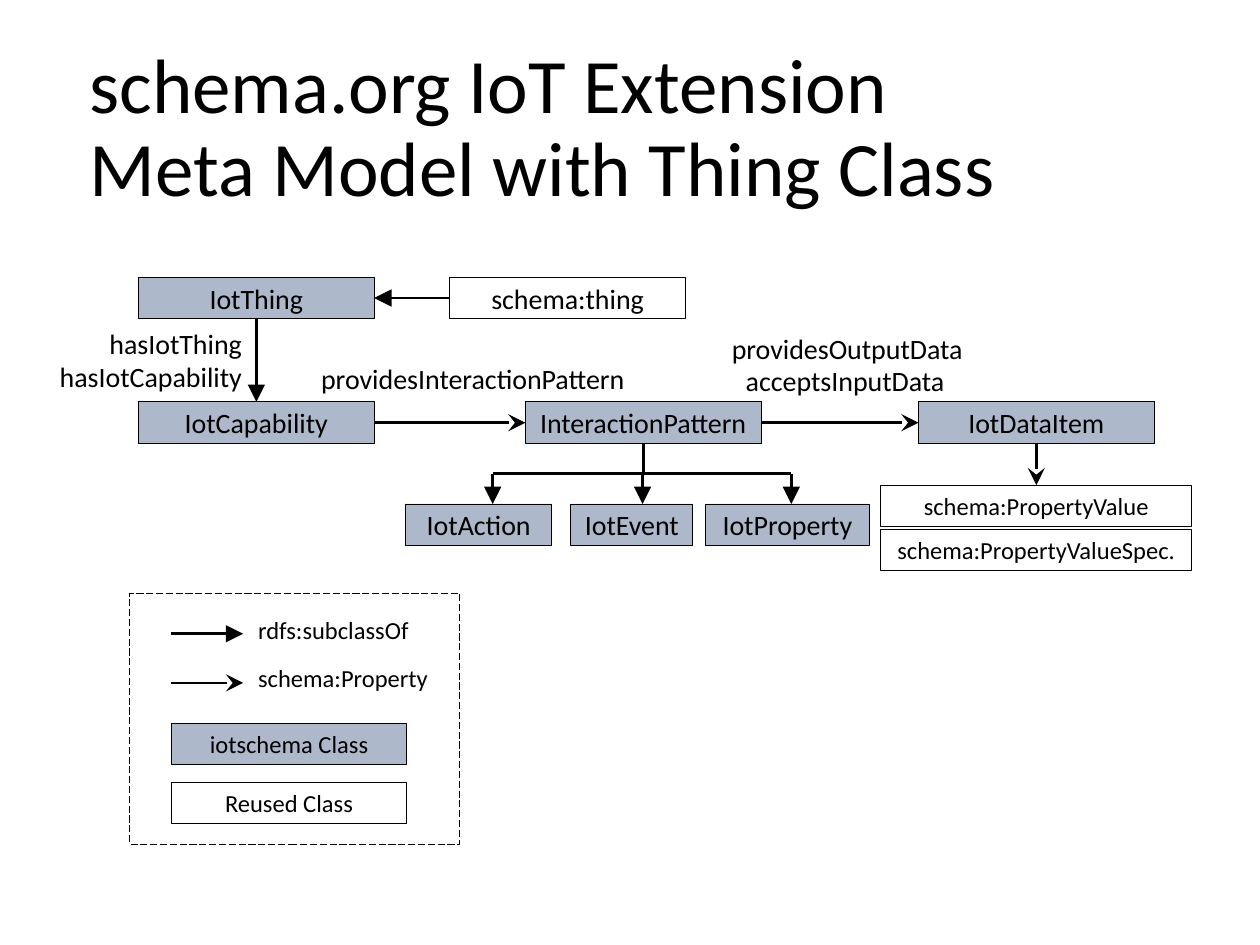
from dataclasses import dataclass

from lxml.etree import SubElement
from pptx import Presentation
from pptx.dml.color import RGBColor
from pptx.enum.dml import MSO_LINE_DASH_STYLE as Dash
from pptx.enum.shapes import MSO_CONNECTOR as Connector, MSO_SHAPE as Shape
from pptx.enum.text import MSO_ANCHOR as Anchor, MSO_AUTO_SIZE as AutoSize, PP_ALIGN as Align
from pptx.oxml.ns import qn
from pptx.util import Inches, Pt

BLACK = RGBColor(0x00, 0x00, 0x00)
WHITE = RGBColor(0xFF, 0xFF, 0xFF)
IOT_BLUE = RGBColor(0xAD, 0xB9, 0xCA)

# Diagram grid, in inches
CLASS_W, CLASS_H = 1.87, 0.33
THING_Y, CAPABILITY_Y, SUBCLASS_Y = 2.2, 3.19, 4.0
PROPERTY_Y, PROPERTY_STEP = 3.85, 0.35
CAPABILITY_X, PATTERN_X, DATA_X = 1.1, 4.17, 7.29
SCHEMA_X, PROPERTY_X, PROPERTY_W = 3.57, 6.99, 2.47
LEGEND_X, LEGEND_LABEL_X, LEGEND_Y = 1.36, 1.95, 5.74
LEGEND_STEP, BUS_Y = 0.47, 3.76
MID = CLASS_H / 2

SUBCLASS_OF, PROPERTY = "triangle", "stealth"


@dataclass
class ClassBox:
    name: str
    x: float
    y: float
    width: float = CLASS_W
    fill: RGBColor | None = IOT_BLUE
    size: int = 16


@dataclass
class Label:
    text: str
    x: float
    y: float
    width: float
    height: float = 0.37
    size: int = 16
    align: Align = Align.LEFT


@dataclass
class Relation:
    x1: float
    y1: float
    x2: float
    y2: float
    head: str | None = None


SUBCLASSES = [
    ClassBox("IotAction", 3.22, SUBCLASS_Y, 1.16),
    ClassBox("IotEvent", 4.53, SUBCLASS_Y, 0.97),
    ClassBox("IotProperty", 5.6, SUBCLASS_Y, 1.3),
]
CLASSES = [
    ClassBox("IotThing", CAPABILITY_X, THING_Y),
    ClassBox("schema:thing", SCHEMA_X, THING_Y, fill=None),
    ClassBox("IotCapability", CAPABILITY_X, CAPABILITY_Y),
    ClassBox("InteractionPattern", PATTERN_X, CAPABILITY_Y),
    ClassBox("IotDataItem", DATA_X, CAPABILITY_Y),
    *SUBCLASSES,
    ClassBox("schema:PropertyValue", PROPERTY_X, PROPERTY_Y, PROPERTY_W, WHITE, 14),
    ClassBox("schema:PropertyValueSpec.", PROPERTY_X, PROPERTY_Y + PROPERTY_STEP,
             PROPERTY_W, WHITE, 14),
    ClassBox("iotschema Class", LEGEND_X, LEGEND_Y, size=14),
    ClassBox("Reused Class", LEGEND_X, LEGEND_Y + LEGEND_STEP, fill=None, size=14),
]
LABELS = [
    Label("hasIotThing\nhasIotCapability", 0.36, 2.54, 1.66, 0.64, align=Align.RIGHT),
    Label("providesInteractionPattern", 2.45, 2.82, 2.65),
    Label("providesOutputData", 5.71, 2.58, 2.06),
    Label("acceptsInputData", 5.82, 2.84, 1.8),
    Label("rdfs:subclassOf", LEGEND_LABEL_X, 4.83, 1.41, 0.34, 14),
    Label("schema:Property", LEGEND_LABEL_X, 5.21, 1.56, 0.34, 14),
]

ROW_MID = CAPABILITY_Y + MID
THING_MID = THING_Y + MID
ROW_BOTTOM = CAPABILITY_Y + CLASS_H
CAPABILITY_CX, PATTERN_CX, DATA_CX = (
    x + CLASS_W / 2 for x in (CAPABILITY_X, PATTERN_X, DATA_X))
BRANCHES = [3.91, 5.1, 6.28]
RELATIONS = [
    Relation(SCHEMA_X, THING_MID, CAPABILITY_X + CLASS_W, THING_MID, SUBCLASS_OF),
    Relation(CAPABILITY_CX, THING_Y + CLASS_H, CAPABILITY_CX, CAPABILITY_Y, SUBCLASS_OF),
    Relation(CAPABILITY_X + CLASS_W, ROW_MID, PATTERN_X, ROW_MID, PROPERTY),
    Relation(PATTERN_X + CLASS_W, ROW_MID, DATA_X, ROW_MID, PROPERTY),
    Relation(DATA_CX, ROW_BOTTOM, DATA_CX, PROPERTY_Y, PROPERTY),
    Relation(PATTERN_CX, BUS_Y, PATTERN_CX, ROW_BOTTOM),
    Relation(BRANCHES[-1], BUS_Y, BRANCHES[0], BUS_Y),
    *(Relation(x, BUS_Y, x, SUBCLASS_Y, SUBCLASS_OF) for x in BRANCHES),
    Relation(LEGEND_X, 5.03, 1.93, 5.03, SUBCLASS_OF),
    Relation(LEGEND_X, 5.42, 1.93, 5.42, PROPERTY),
]


def write(frame, text: str, size: int, align: Align, **frame_format) -> None:
    """Fill a text frame and format every paragraph alike."""
    frame.text = text
    for name, value in frame_format.items():
        setattr(frame, name, value)
    for paragraph in frame.paragraphs:
        paragraph.alignment = align
        for run in paragraph.runs:
            for name, value in {"name": "Calibri", "size": Pt(size)}.items():
                setattr(run.font, name, value)
            run.font.color.rgb = BLACK


def add_rectangle(slide, x: float, y: float, width: float, height: float,
                  fill: RGBColor | None):
    rectangle = slide.shapes.add_shape(
        Shape.RECTANGLE, *map(Inches, (x, y, width, height)))
    rectangle.shadow.inherit = False
    if fill is None:
        rectangle.fill.background()
    else:
        rectangle.fill.solid()
        rectangle.fill.fore_color.rgb = fill
    rectangle.line.color.rgb = BLACK
    rectangle.line.width = Pt(0.5)
    return rectangle


def add_class(slide, box: ClassBox) -> None:
    rectangle = add_rectangle(slide, box.x, box.y, box.width, CLASS_H, box.fill)
    write(rectangle.text_frame, box.name, box.size, Align.CENTER,
          vertical_anchor=Anchor.MIDDLE, word_wrap=False)


def add_label(slide, label: Label) -> None:
    caption = slide.shapes.add_textbox(
        *map(Inches, (label.x, label.y, label.width, label.height)))
    write(caption.text_frame, label.text, label.size, label.align,
          word_wrap=False, auto_size=AutoSize.SHAPE_TO_FIT_TEXT)


def add_relation(slide, relation: Relation) -> None:
    ends = (relation.x1, relation.y1, relation.x2, relation.y2)
    arrow = slide.shapes.add_connector(Connector.STRAIGHT, *map(Inches, ends))
    arrow.line.color.rgb = BLACK
    arrow.line.width = Pt(1.5)
    if relation.head:
        SubElement(arrow.line._get_or_add_ln(), qn("a:tailEnd"),
                   type=relation.head, w="lg", len="lg")
    SubElement(arrow._element.spPr, qn("a:effectLst"))


prs = Presentation()
prs.slide_width, prs.slide_height = Inches(10), Inches(7.5)
slide = prs.slides.add_slide(prs.slide_layouts[5])

# Title
title = slide.shapes.title
title_place = {"left": 0.61, "top": 0.31, "width": 8.62, "height": 1.45}
for side, length in title_place.items():
    setattr(title, side, Inches(length))
write(title.text_frame, "schema.org IoT Extension\vMeta Model with Thing Class", 44,
      Align.LEFT, vertical_anchor=Anchor.MIDDLE, word_wrap=True, auto_size=AutoSize.NONE)
title.text_frame.paragraphs[0].line_spacing = 0.9

# Legend frame
legend = add_rectangle(slide, 1.03, 4.71, 2.62, 1.99, None)
legend.line.dash_style = Dash.LONG_DASH

# Classes, their relations and the captions
for box in CLASSES:
    add_class(slide, box)
for relation in RELATIONS:
    add_relation(slide, relation)
for label in LABELS:
    add_label(slide, label)

prs.save("out.pptx")
